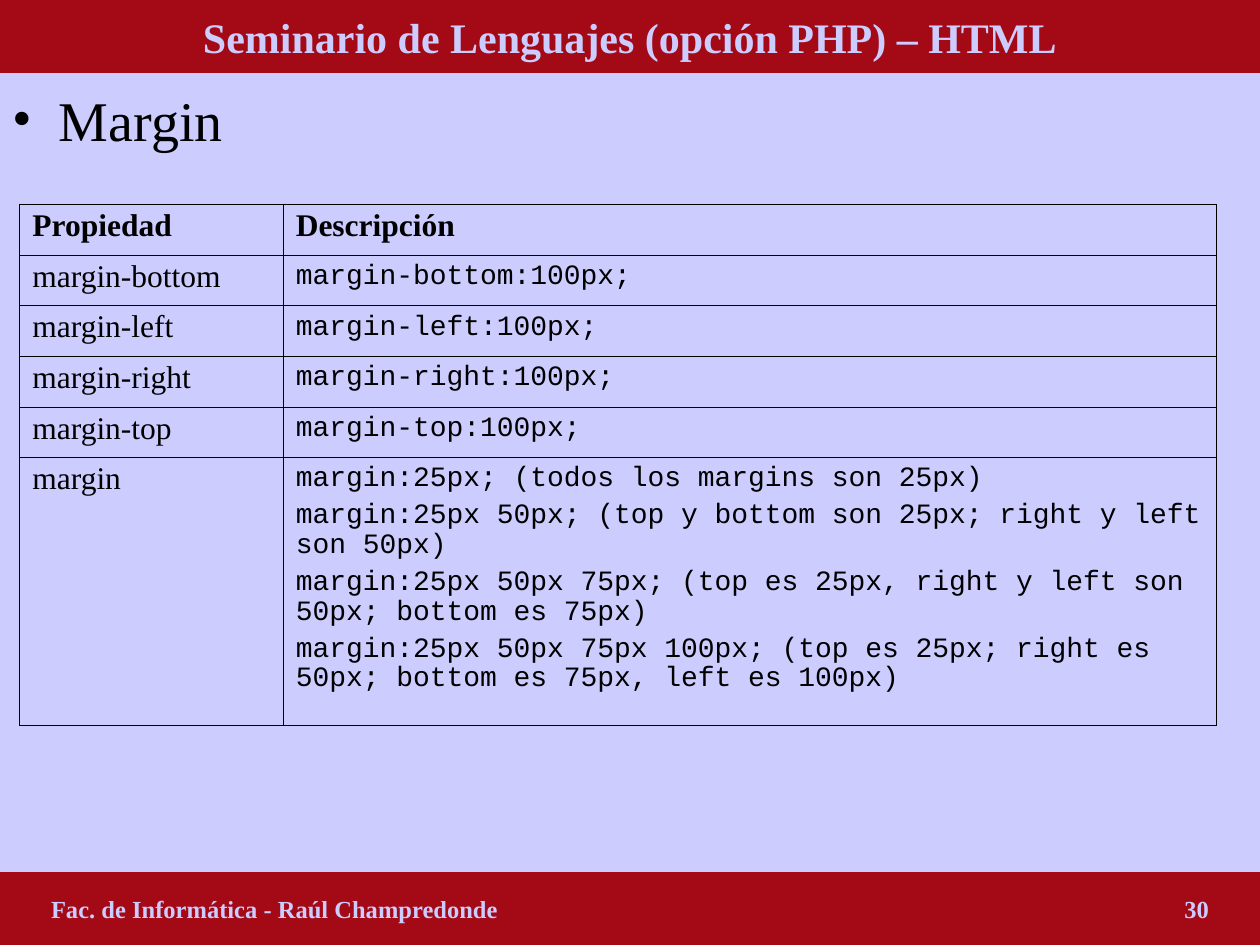
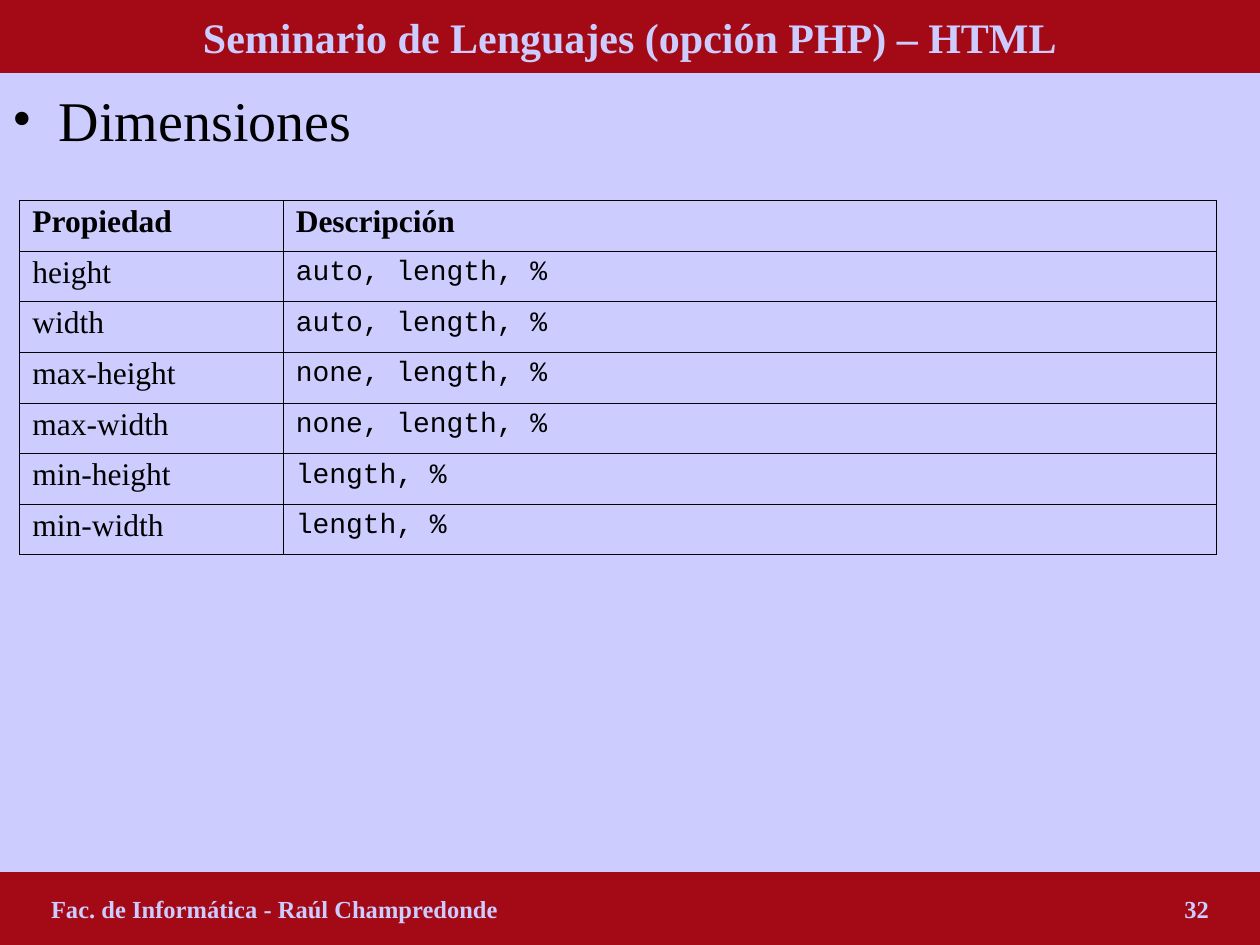
from dataclasses import dataclass

from lxml.etree import SubElement
from pptx import Presentation
from pptx.dml.color import RGBColor
from pptx.enum.shapes import MSO_SHAPE
from pptx.enum.text import MSO_ANCHOR, PP_ALIGN
from pptx.oxml.ns import qn
from pptx.util import Cm, Pt

# Content
COURSE = "Seminario de Lenguajes (opción PHP) – HTML"
AUTHOR = "Fac. de Informática - Raúl Champredonde"
HEADINGS = ("Propiedad", "Descripción")
SLIDES = [
    {
        "topic": "Margin",
        "number": 30,
        "table_top": 4.12,
        "last_row_height": 5.41,
        "properties": [
            ("margin-bottom", ["margin-bottom:100px;"]),
            ("margin-left", ["margin-left:100px;"]),
            ("margin-right", ["margin-right:100px;"]),
            ("margin-top", ["margin-top:100px;"]),
            ("margin", [
                "margin:25px; (todos los margins son 25px)",
                "margin:25px 50px; (top y bottom son 25px; right y left son 50px)",
                "margin:25px 50px 75px; (top es 25px, right y left son 50px; "
                "bottom es 75px)",
                "margin:25px 50px 75px 100px; (top es 25px; right es 50px; "
                "bottom es 75px, left es 100px)",
            ]),
        ],
    },
    {
        "topic": "Dimensiones",
        "number": 32,
        "table_top": 4.04,
        "last_row_height": 1.02,
        "properties": [
            ("height", ["auto, length, %"]),
            ("width", ["auto, length, %"]),
            ("max-height", ["none, length, %"]),
            ("max-width", ["none, length, %"]),
            ("min-height", ["length, %"]),
            ("min-width", ["length, %"]),
        ],
    },
]


@dataclass(frozen=True)
class Theme:
    background: str = "CCCCFF"
    band: str = "A30A16"
    band_text: str = "CCCCFF"
    ink: str = "000000"
    serif: str = "Times New Roman"
    mono: str = "Courier New"
    title_size: int = 24
    topic_size: int = 32
    footer_size: int = 14
    name_size: int = 18
    code_size: int = 16
    outer_border: float = 0.5
    inner_border: float = 0.23


THEME = Theme()

# Layout
SLIDE_WIDTH, SLIDE_HEIGHT = Cm(25.4), Cm(19.05)
BAND_HEIGHT = Cm(1.47)
FOOTER_TOP = SLIDE_HEIGHT - BAND_HEIGHT
FOOTER_MARGIN = Cm(1.03)
BULLET_INDENT = Cm(0.94)
TABLE_LEFT = Cm(0.4)
COLUMN_WIDTHS = (Cm(5.31), Cm(18.82))
ROW_HEIGHT = Cm(1.02)


def add_run(paragraph, text, size, color=THEME.ink, font=THEME.serif, bold=False):
    run = paragraph.add_run()
    run.text = text
    run.font.name = font
    run.font.size = Pt(size)
    run.font.bold = bold
    run.font.color.rgb = RGBColor.from_string(color)


def add_band(slide, top):
    band = slide.shapes.add_shape(MSO_SHAPE.RECTANGLE, 0, top, SLIDE_WIDTH, BAND_HEIGHT)
    band.shadow.inherit = False
    band.fill.solid()
    band.fill.fore_color.rgb = RGBColor.from_string(THEME.band)
    band.line.fill.background()
    band.text_frame.vertical_anchor = MSO_ANCHOR.MIDDLE
    return band.text_frame


def add_title(slide):
    paragraph = add_band(slide, 0).paragraphs[0]
    paragraph.alignment = PP_ALIGN.CENTER
    add_run(paragraph, COURSE, THEME.title_size, THEME.band_text, bold=True)


def add_footer(slide, number):
    frame = add_band(slide, FOOTER_TOP)
    frame.margin_left = FOOTER_MARGIN
    paragraph = frame.paragraphs[0]
    paragraph.alignment = PP_ALIGN.LEFT
    # A right tab stop carries the slide number to the far margin
    tabs = SubElement(paragraph._p.get_or_add_pPr(), qn("a:tabLst"))
    SubElement(tabs, qn("a:tab"), pos=str(SLIDE_WIDTH - 2 * FOOTER_MARGIN), algn="r")
    add_run(paragraph, f"{AUTHOR}\t{number}", THEME.footer_size, THEME.band_text, bold=True)


def add_topic(slide, topic):
    box = slide.shapes.add_textbox(0, BAND_HEIGHT, SLIDE_WIDTH, FOOTER_TOP - BAND_HEIGHT)
    frame = box.text_frame
    frame.word_wrap = True
    frame.margin_top = Cm(0.25)
    paragraph = frame.paragraphs[0]
    properties = paragraph._p.get_or_add_pPr()
    properties.set("marL", str(BULLET_INDENT))
    properties.set("indent", str(-BULLET_INDENT))
    bullet_color = SubElement(properties, qn("a:buClr"))
    SubElement(bullet_color, qn("a:srgbClr"), val=THEME.ink)
    SubElement(properties, qn("a:buFont"), typeface=THEME.serif)
    SubElement(properties, qn("a:buChar"), char="•")
    add_run(paragraph, topic, THEME.topic_size)


def set_borders(cell, outer_sides):
    properties = cell._tc.get_or_add_tcPr()
    for side in "LRTB":
        width = THEME.outer_border if side in outer_sides else THEME.inner_border
        line = SubElement(properties, qn(f"a:ln{side}"), w=str(Pt(width)))
        fill = SubElement(line, qn("a:solidFill"))
        SubElement(fill, qn("a:srgbClr"), val=THEME.ink)


def fill_cell(cell, lines, is_code, bold):
    frame = cell.text_frame
    for index, text in enumerate(lines):
        paragraph = frame.add_paragraph() if index else frame.paragraphs[0]
        paragraph.line_spacing = 0.94 if is_code else 0.93
        paragraph.space_before = Pt(4 if is_code else 4.5)
        size, font = (
            (THEME.code_size, THEME.mono) if is_code else (THEME.name_size, THEME.serif)
        )
        add_run(paragraph, text, size, font=font, bold=bold)


def add_property_table(slide, content):
    rows = [(HEADINGS[0], [HEADINGS[1]])] + content["properties"]
    last = len(rows) - 1
    heights = [ROW_HEIGHT] * last + [Cm(content["last_row_height"])]
    table = slide.shapes.add_table(
        len(rows), 2, TABLE_LEFT, Cm(content["table_top"]),
        sum(COLUMN_WIDTHS), sum(heights),
    ).table
    table.first_row = table.horz_banding = False
    for column, width in zip(table.columns, COLUMN_WIDTHS):
        column.width = width
    for row_index, (name, description) in enumerate(rows):
        table.rows[row_index].height = heights[row_index]
        is_heading = row_index == 0
        vertical = "T" if is_heading else "B" if row_index == last else ""
        for column_index, lines in enumerate(([name], description)):
            cell = table.cell(row_index, column_index)
            set_borders(cell, "LR"[column_index] + vertical)
            cell.fill.background()
            fill_cell(cell, lines, column_index == 1 and not is_heading, is_heading)


def main():
    presentation = Presentation()
    presentation.slide_width = SLIDE_WIDTH
    presentation.slide_height = SLIDE_HEIGHT
    for content in SLIDES:
        slide = presentation.slides.add_slide(presentation.slide_layouts[6])
        slide.background.fill.solid()
        slide.background.fill.fore_color.rgb = RGBColor.from_string(THEME.background)
        add_topic(slide, content["topic"])
        add_title(slide)
        add_footer(slide, content["number"])
        add_property_table(slide, content)
    presentation.save("out.pptx")


if __name__ == "__main__":
    main()
